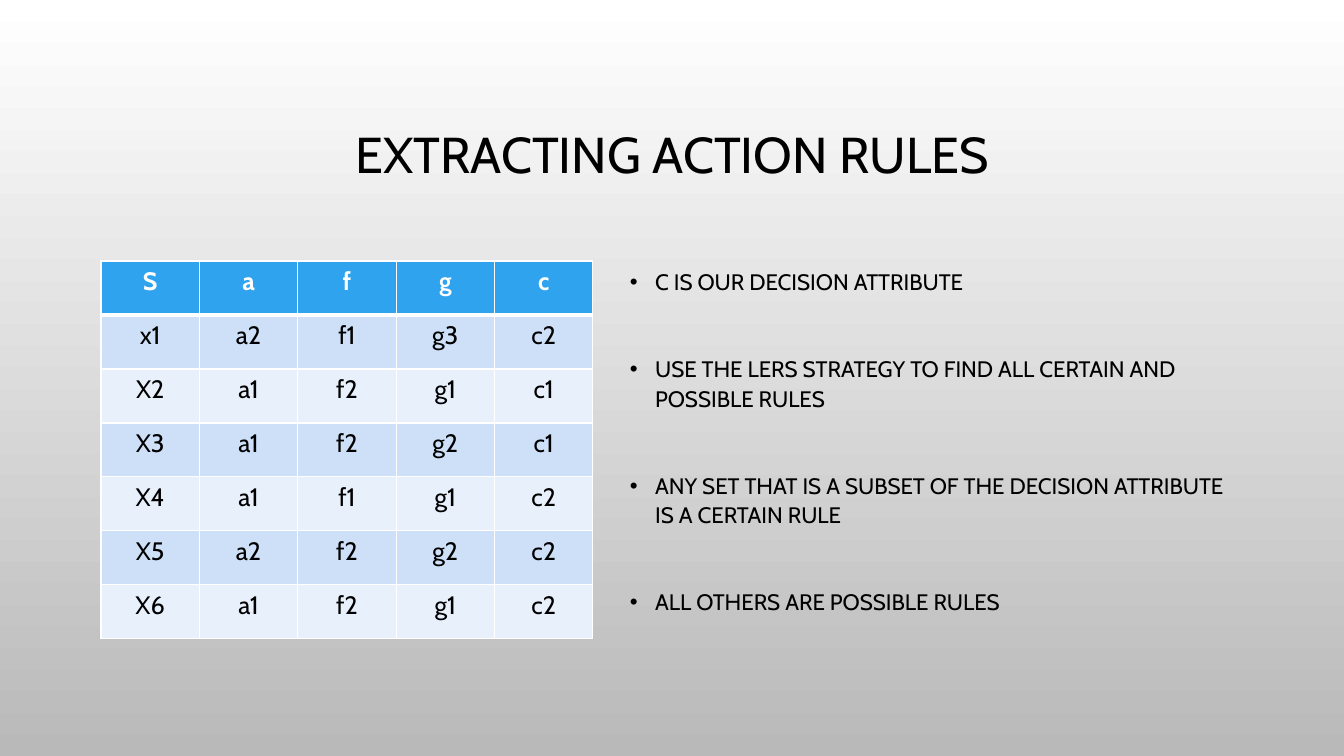
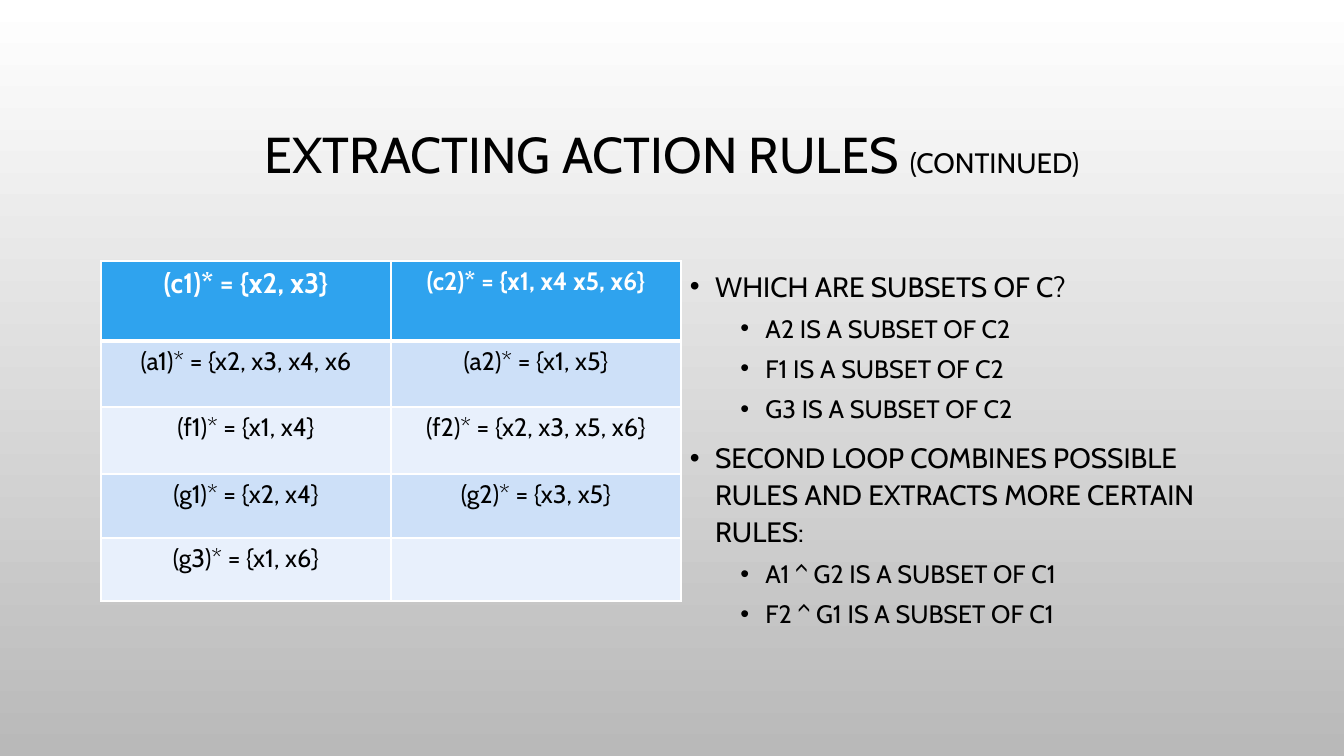
"""Build two slides on extracting action rules: a table beside a bulleted list."""
from dataclasses import dataclass

from lxml import etree
from pptx import Presentation, util as u
from pptx.dml.color import RGBColor
from pptx.enum import text
from pptx.oxml.ns import qn
from pptx.slide import Slide
from pptx.table import _Cell as Cell
from pptx.text.text import TextFrame, _Paragraph as Paragraph

EMU_PER_PIXEL = 914400 / 100.8
FONT = "Cabin"
BLACK, WHITE = "000000", "FFFFFF"
BACKDROP = (WHITE, "B9B9B9")
HEADER_FILL = "2FA3EE"
BAND_FILLS = ("CDE0F8", "E8F0FC")
CENTER = text.PP_ALIGN.CENTER
LEFT = text.PP_ALIGN.LEFT
BULLET_STEP = 0.25  # inches between a bullet and its text
LEVEL_STEP = 0.5  # inches between list levels


@dataclass(frozen=True)
class Box:
    """A rectangle in pixels."""
    left: int
    top: int
    width: int
    height: int


@dataclass(frozen=True)
class Span:
    """Text of one size in points."""
    words: str
    size: int = 18


@dataclass(frozen=True)
class Bullet:
    """One list item; gap is the space before it in points."""
    span: Span
    level: int = 0
    gap: int = 10


@dataclass(frozen=True)
class Grid:
    """A table with equal columns; the first row is its header."""
    left: int
    top: int
    width: int
    row_heights: tuple[int, ...]
    rows: tuple[tuple[Span, ...], ...]


@dataclass(frozen=True)
class Page:
    """The content of one slide."""
    title: tuple[Span, ...]
    grid: Grid
    list_box: Box
    bullets: tuple[Bullet, ...]


def px(pixels: float) -> u.Emu:
    """Turn pixels into EMU."""
    return u.Emu(round(pixels * EMU_PER_PIXEL))


def rgb(color: str) -> RGBColor:
    """Turn a hex string into a colour."""
    return RGBColor.from_string(color)


def cells(*words: str) -> tuple[Span, ...]:
    """Make a table row in the usual text size."""
    return tuple(Span(word) for word in words)


def write(para: Paragraph, spans: tuple[Span, ...], color: str = BLACK,
          bold: bool = False, **layout: object) -> None:
    """Fill a paragraph with spans and set its layout values."""
    for name, value in layout.items():
        setattr(para, name, value)
    for span in spans:
        run = para.add_run()
        run.text = span.words
        values = {"name": FONT, "size": u.Pt(span.size), "bold": bold}
        for name, value in values.items():
            setattr(run.font, name, value)
        run.font.color.rgb = rgb(color)


def add_text(page: Slide, box: Box, anchor: text.MSO_ANCHOR) -> TextFrame:
    """Add a wrapping text box and return its frame."""
    shape = page.shapes.add_textbox(
        px(box.left), px(box.top), px(box.width), px(box.height))
    frame = shape.text_frame
    frame.word_wrap = True
    frame.vertical_anchor = anchor
    return frame


def mark_bullet(para: Paragraph, level: int) -> None:
    """Give a paragraph a hanging black bullet."""
    props = para._p.get_or_add_pPr()
    props.set("marL", str(u.Inches(BULLET_STEP + level * LEVEL_STEP)))
    props.set("indent", str(-u.Inches(BULLET_STEP)))
    tint = etree.SubElement(props, qn("a:buClr"))
    etree.SubElement(tint, qn("a:srgbClr"), val=BLACK)
    etree.SubElement(props, qn("a:buFont"), typeface="Arial")
    etree.SubElement(props, qn("a:buChar"), char="•")


def add_list(page: Slide, box: Box, bullets: tuple[Bullet, ...]) -> None:
    """Add a bulleted list."""
    frame = add_text(page, box, text.MSO_ANCHOR.TOP)
    for index, bullet in enumerate(bullets):
        para = frame.add_paragraph() if index else frame.paragraphs[0]
        write(para, (bullet.span,), alignment=LEFT, level=bullet.level,
              line_spacing=1.1, space_before=u.Pt(bullet.gap))
        mark_bullet(para, bullet.level)


def add_borders(cell: Cell, bottom: int) -> None:
    """Draw white cell borders, with the bottom width in points."""
    props = cell._tc.get_or_add_tcPr()
    for side, width in {"L": 1, "R": 1, "T": 1, "B": bottom}.items():
        line = etree.SubElement(props, qn(f"a:ln{side}"), w=str(u.Pt(width)))
        fill = etree.SubElement(line, qn("a:solidFill"))
        etree.SubElement(fill, qn("a:srgbClr"), val=WHITE)


def add_grid(page: Slide, grid: Grid) -> None:
    """Add a table with a header and banded rows."""
    columns = len(grid.rows[0])
    table = page.shapes.add_table(
        len(grid.rows), columns, px(grid.left), px(grid.top),
        px(grid.width), px(sum(grid.row_heights))).table
    table.horz_banding = False
    for column in table.columns:
        column.width = px(grid.width / columns)
    for index, (height, row) in enumerate(zip(grid.row_heights, grid.rows)):
        header = index == 0
        table.rows[index].height = px(height)
        # The border shared by the header and the first band is thick.
        for cell, span in zip(table.rows[index].cells, row):
            add_borders(cell, 3 if header else 1)
            cell.fill.solid()
            cell.fill.fore_color.rgb = rgb(
                HEADER_FILL if header else BAND_FILLS[(index - 1) % 2])
            write(cell.text_frame.paragraphs[0], (span,) if span.words else (),
                  WHITE if header else BLACK, header, alignment=CENTER)


def paint_backdrop(page: Slide) -> None:
    """Fill the background with a gradient running downwards."""
    fill = page.background.fill
    fill.gradient()
    fill.gradient_angle = 270
    for stop, color in zip(fill.gradient_stops, BACKDROP):
        stop.color.rgb = rgb(color)


def add_page(deck: Presentation, content: Page) -> None:
    """Add a slide with its title, table and list."""
    page = deck.slides.add_slide(deck.slide_layouts[6])
    paint_backdrop(page)
    frame = add_text(page, TITLE_BOX, text.MSO_ANCHOR.MIDDLE)
    write(frame.paragraphs[0], content.title, alignment=CENTER, line_spacing=0.9)
    add_grid(page, content.grid)
    add_list(page, content.list_box, content.bullets)


TITLE_BOX = Box(101, 69, 1142, 176)
MARGIN, CONTENT_TOP = 101, 261
WIDE_GAP = 41  # points between the spread-out items

PAGES = (
    Page(
        title=(Span("EXTRACTING ACTION RULES", 36),),
        grid=Grid(MARGIN, CONTENT_TOP, 492, (54,) * 7, (
            cells("S", "a", "f", "g", "c"),
            cells("x1", "a2", "f1", "g3", "c2"),
            cells("X2", "a1", "f2", "g1", "c1"),
            cells("X3", "a1", "f2", "g2", "c1"),
            cells("X4", "a1", "f1", "g1", "c2"),
            cells("X5", "a2", "f2", "g2", "c2"),
            cells("X6", "a1", "f2", "g1", "c2"),
        )),
        list_box=Box(620, CONTENT_TOP, 623, 377),
        bullets=(
            Bullet(Span("C IS OUR DECISION ATTRIBUTE", 16)),
            Bullet(Span("USE THE LERS STRATEGY TO FIND ALL CERTAIN AND "
                        "POSSIBLE RULES", 16), gap=WIDE_GAP),
            Bullet(Span("ANY SET THAT IS A SUBSET OF THE DECISION ATTRIBUTE "
                        "IS A CERTAIN RULE", 16), gap=WIDE_GAP),
            Bullet(Span("ALL OTHERS ARE POSSIBLE RULES", 16), gap=WIDE_GAP),
        ),
    ),
    Page(
        title=(Span("EXTRACTING ACTION RULES ", 36), Span("(CONTINUED)", 20)),
        grid=Grid(MARGIN, CONTENT_TOP, 580, (80, 66, 67, 64, 63), (
            (Span("(c1)* = {x2, x3}", 20), Span("(c2)* = {x1, x4 x5, x6}")),
            cells("(a1)* = {x2, x3, x4, x6", "(a2)* = {x1, x5}"),
            cells("(f1)* = {x1, x4}", "(f2)* = {x2, x3, x5, x6}"),
            cells("(g1)* = {x2, x4}", "(g2)* = {x3, x5}"),
            cells("(g3)* = {x1, x6}", ""),
        )),
        list_box=Box(680, CONTENT_TOP, 562, 377),
        bullets=(
            Bullet(Span("WHICH ARE SUBSETS OF C?", 20)),
            Bullet(Span("A2 IS A SUBSET OF C2"), 1, 5),
            Bullet(Span("F1 IS A SUBSET OF C2"), 1, 5),
            Bullet(Span("G3 IS A SUBSET OF C2"), 1, 5),
            Bullet(Span("SECOND LOOP COMBINES POSSIBLE RULES AND EXTRACTS "
                        "MORE CERTAIN RULES:", 20)),
            Bullet(Span("A1 ^ G2 IS A SUBSET OF C1"), 1, 5),
            Bullet(Span("F2 ^ G1 IS A SUBSET OF C1"), 1, 5),
        ),
    ),
)


def main() -> None:
    """Build and save the deck."""
    deck = Presentation()
    deck.slide_width, deck.slide_height = px(1344), px(756)
    for content in PAGES:
        add_page(deck, content)
    deck.save("out.pptx")


main()
